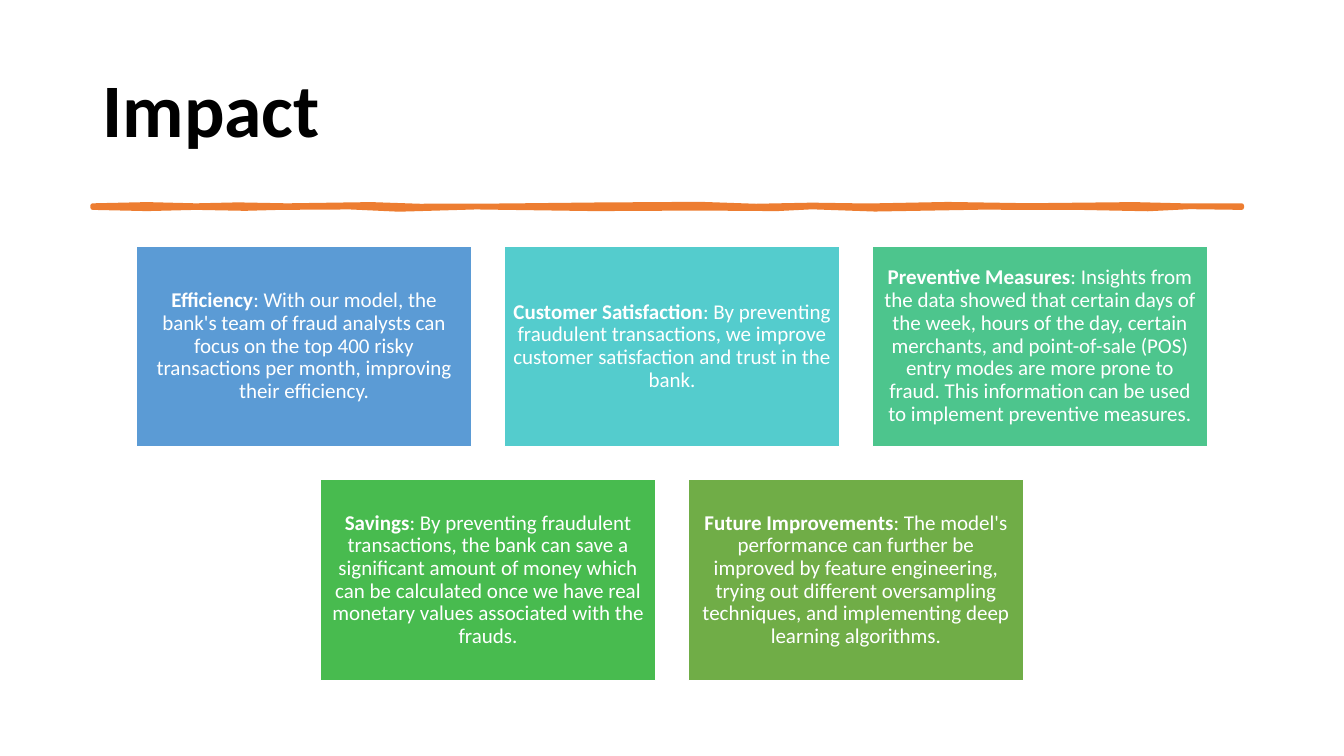
import pptx
import pptx.dml.color
import pptx.enum.shapes
import pptx.enum.text
import pptx.util

Pt = pptx.util.Pt
RGBColor = pptx.dml.color.RGBColor
ALIGN = pptx.enum.text.PP_ALIGN
MIDDLE = pptx.enum.text.MSO_ANCHOR.MIDDLE
RECTANGLE = pptx.enum.shapes.MSO_SHAPE.RECTANGLE

BLACK = RGBColor(0x00, 0x00, 0x00)
WHITE = RGBColor(0xFF, 0xFF, 0xFF)
ORANGE = RGBColor(0xED, 0x7D, 0x31)
BLUE = RGBColor(0x5B, 0x9B, 0xD5)
TURQUOISE = RGBColor(0x54, 0xCC, 0xCD)
MINT = RGBColor(0x4D, 0xC5, 0x8D)
GREEN = RGBColor(0x48, 0xBB, 0x4F)
OLIVE = RGBColor(0x70, 0xAD, 0x47)

FONT = "Calibri"
SLIDE_WIDTH, SLIDE_HEIGHT = 960, 540
TILE_WIDTH, TILE_HEIGHT, TILE_GAP = 239.04, 143.28, 23.76
TILES_TOP = 175.68

IMPACT_ROWS = [
    [
        ("Efficiency", ": With our model, the bank's team of fraud analysts can focus on "
         "the top 400 risky transactions per month, improving their efficiency.", BLUE),
        ("Customer Satisfaction", ": By preventing fraudulent transactions, we improve "
         "customer satisfaction and trust in the bank.", TURQUOISE),
        ("Preventive Measures", ": Insights from the data showed that certain days of the "
         "week, hours of the day, certain merchants, and point-of-sale (POS) entry modes are "
         "more prone to fraud. This information can be used to implement preventive "
         "measures.", MINT),
    ],
    [
        ("Savings", ": By preventing fraudulent transactions, the bank can save a "
         "significant amount of money which can be calculated once we have real monetary "
         "values associated with the frauds.", GREEN),
        ("Future Improvements", ": The model's performance can further be improved by "
         "feature engineering, trying out different oversampling techniques, and "
         "implementing deep learning algorithms.", OLIVE),
    ],
]

# Upper and lower edges of the hand-drawn rule, from left to right.
RULE_UPPER = [(66.2, 146.9), (105, 146), (140, 146.9), (170, 146.2), (205, 146.9),
              (265, 146), (300, 147.2), (360, 147), (425, 146.3), (500, 145.8),
              (540, 147.2), (580, 146.4), (620, 147), (677, 145.9), (735, 146.8),
              (810, 146), (850, 147), (887, 146.9)]
RULE_LOWER = [(887, 148.3), (850, 147.8), (820, 149.3), (770, 148.3), (700, 148.2),
              (625, 149.5), (580, 147.9), (555, 149.2), (500, 148.8), (425, 149.2),
              (340, 148), (285, 149.6), (250, 148), (200, 148.3), (175, 149),
              (140, 148.3), (105, 149.2), (66.2, 148.3)]


def add_run(paragraph, text, size, color, bold):
    run = paragraph.add_run()
    run.text = text
    run.font.name = FONT
    run.font.size = Pt(size)
    run.font.bold = bold
    run.font.color.rgb = color


def paint(shape, fill, line, line_width):
    shape.shadow.inherit = False
    shape.fill.solid()
    shape.fill.fore_color.rgb = fill
    shape.line.color.rgb = line
    shape.line.width = Pt(line_width)


def fill_title(title, text):
    title.left, title.top = Pt(66), Pt(28.75)
    title.width, title.height = Pt(828), Pt(104.4)
    title.text_frame.vertical_anchor = MIDDLE
    heading = title.text_frame.paragraphs[0]
    heading.alignment = ALIGN.LEFT
    heading.line_spacing = 0.9
    add_run(heading, text, 54, BLACK, True)


def add_brush_rule(slide):
    outline = [(Pt(x), Pt(y)) for x, y in RULE_UPPER + RULE_LOWER]
    builder = slide.shapes.build_freeform(*outline[0], scale=1.0)
    builder.add_line_segments(outline[1:], close=True)
    paint(builder.convert_to_shape(), ORANGE, ORANGE, 3.25)


def add_tile(slide, left, top, heading, detail, color):
    tile = slide.shapes.add_shape(
        RECTANGLE, Pt(left), Pt(top), Pt(TILE_WIDTH), Pt(TILE_HEIGHT))
    paint(tile, color, WHITE, 1)
    frame = tile.text_frame
    frame.word_wrap = True
    frame.vertical_anchor = MIDDLE
    frame.margin_left = frame.margin_right = Pt(4.5)
    frame.margin_top = frame.margin_bottom = Pt(4.5)
    statement = frame.paragraphs[0]
    statement.alignment = ALIGN.CENTER
    statement.line_spacing = 0.9
    add_run(statement, heading, 15, WHITE, True)
    add_run(statement, detail, 15, WHITE, False)


def add_tile_rows(slide):
    """Centre each row of tiles on the slide."""
    for row, tiles in enumerate(IMPACT_ROWS):
        row_width = len(tiles) * (TILE_WIDTH + TILE_GAP) - TILE_GAP
        row_left = (SLIDE_WIDTH - row_width) / 2
        top = TILES_TOP + row * (TILE_HEIGHT + TILE_GAP)
        for column, (heading, detail, color) in enumerate(tiles):
            left = row_left + column * (TILE_WIDTH + TILE_GAP)
            add_tile(slide, left, top, heading, detail, color)


def main():
    deck = pptx.Presentation()
    deck.slide_width, deck.slide_height = Pt(SLIDE_WIDTH), Pt(SLIDE_HEIGHT)
    title_only = deck.slide_layouts[5]
    slide = deck.slides.add_slide(title_only)
    fill_title(slide.shapes.title, "Impact")
    add_brush_rule(slide)
    add_tile_rows(slide)
    deck.save("out.pptx")


if __name__ == "__main__":
    main()
